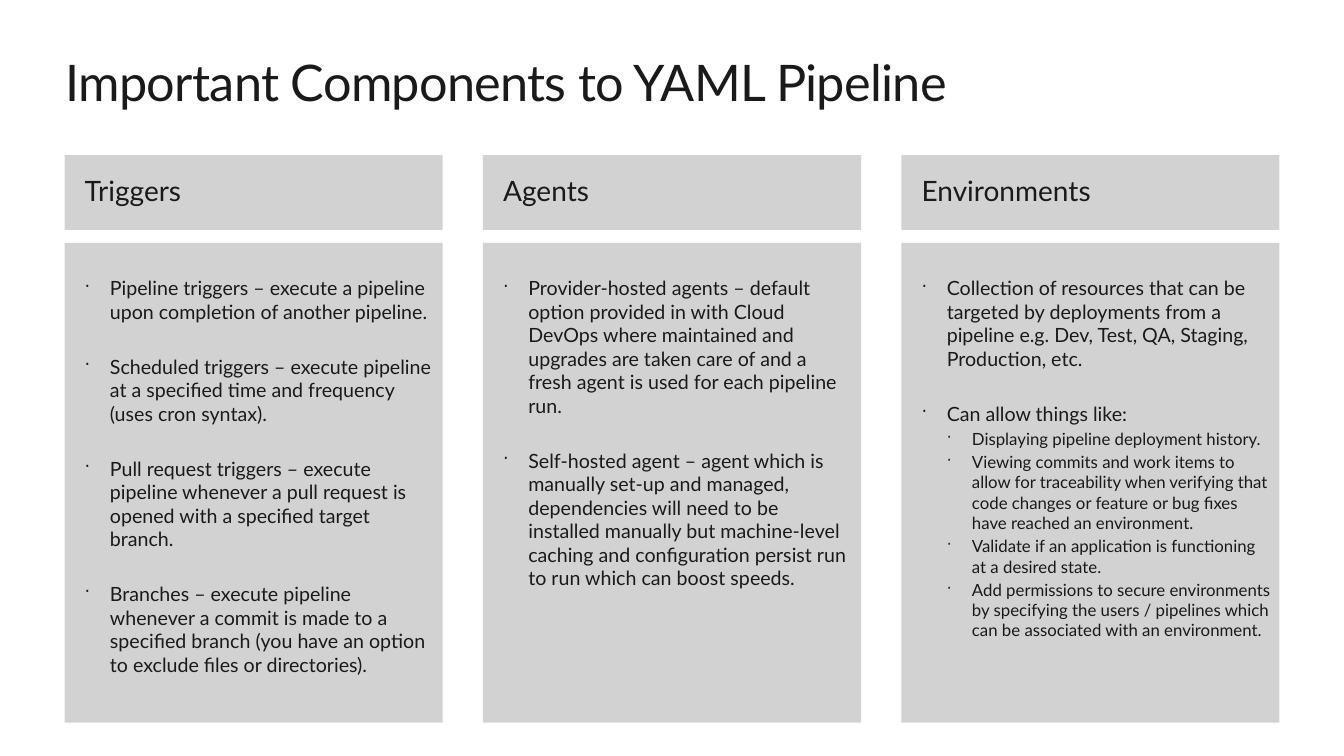
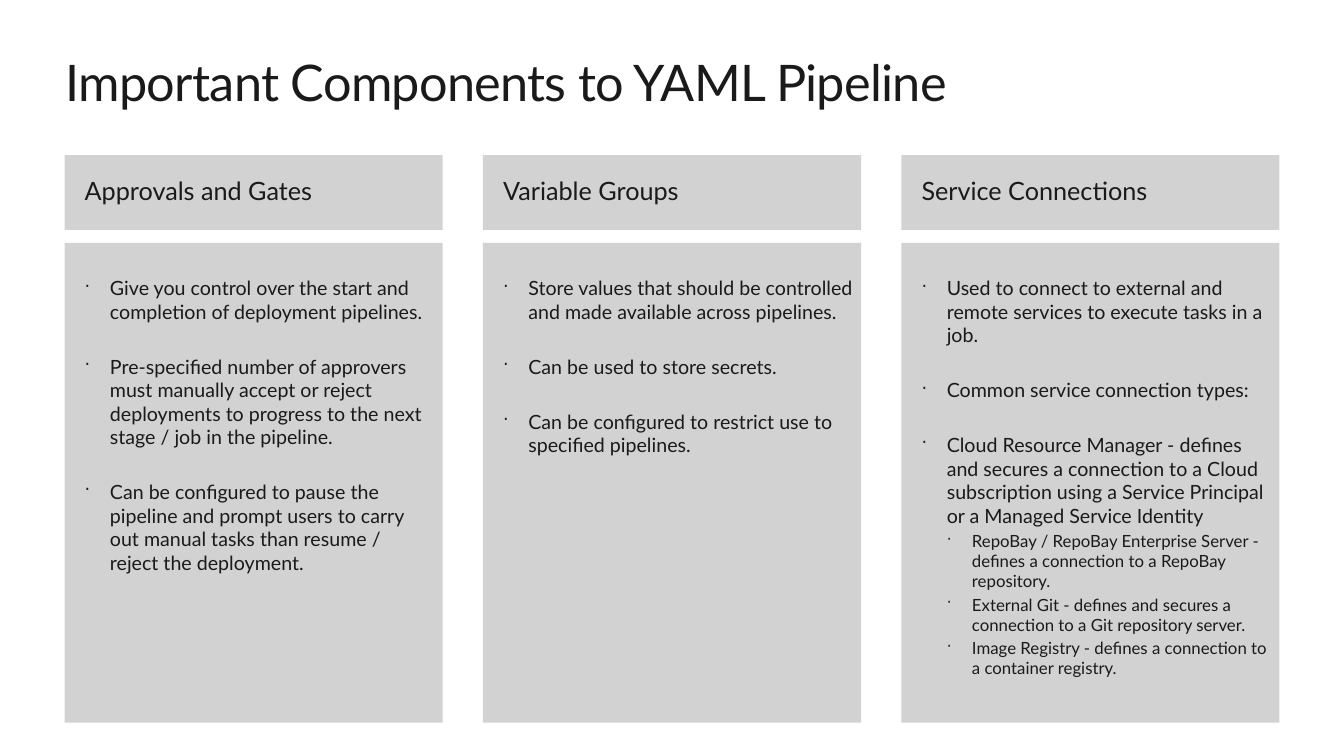
"""Build two three-column slides on the components of a YAML pipeline."""
from dataclasses import dataclass

from lxml import etree
from pptx import Presentation
from pptx import util as u
from pptx.dml.color import RGBColor
from pptx.enum import shapes, text
from pptx.oxml import ns

COLORS = {"panel": "D2D2D2", "text": "1A1A1A"}
FONT = "Lato"
TITLE = "Important Components to YAML Pipeline"
TITLE_SIZE = 36
TITLE_SPACING = -50
SLIDE_WIDTH, SLIDE_HEIGHT = 13.33, 7.5
TITLE_LEFT, TITLE_TOP, TITLE_WIDTH, TITLE_HEIGHT = 0.65, 0.51, 12.05, 0.61
GRID_LEFT, COLUMN_WIDTH, COLUMN_GAP = 0.64, 3.75, 0.4
HEADING_TOP, HEADING_HEIGHT = 1.54, 0.74
BODY_TOP, BODY_HEIGHT = 2.41, 4.76
HEADING_INSETS = (0.2, 0, 0.04, 0.05)
BODY_INSETS = (0.2, 0.33, 0.08, 0.05)
INDENT = 0.25
LEVEL_SIZES = (14, 12)
LEVEL_SPACES = (22.4, 2.4)


@dataclass(frozen=True)
class Bullet:
    """One bulleted statement and its level."""

    wording: str
    level: int = 0


@dataclass(frozen=True)
class Column:
    """A heading with the bullets below it."""

    heading: str
    bullets: tuple[Bullet, ...]


@dataclass(frozen=True)
class ColumnSlide:
    """A slide of columns sharing one heading size."""

    heading_size: int
    columns: tuple[Column, ...]


SLIDES = (
    ColumnSlide(20, (
        Column("Triggers", (
            Bullet("Pipeline triggers – execute a pipeline upon completion of another pipeline."),
            Bullet("Scheduled triggers – execute pipeline at a specified time and frequency "
                   "(uses cron syntax)."),
            Bullet("Pull request triggers – execute pipeline whenever a pull request is opened "
                   "with a specified target branch."),
            Bullet("Branches – execute pipeline whenever a commit is made to a specified branch "
                   "(you have an option to exclude files or directories)."),
        )),
        Column("Agents", (
            Bullet("Provider-hosted agents – default option provided in with Cloud DevOps where "
                   "maintained and upgrades are taken care of and a fresh agent is used for each "
                   "pipeline run."),
            Bullet("Self-hosted agent – agent which is manually set-up and managed, dependencies "
                   "will need to be installed manually but machine-level caching and "
                   "configuration persist run to run which can boost speeds."),
        )),
        Column("Environments", (
            Bullet("Collection of resources that can be targeted by deployments from a pipeline "
                   "e.g. Dev, Test, QA, Staging, Production, etc."),
            Bullet("Can allow things like:"),
            Bullet("Displaying pipeline deployment history.", 1),
            Bullet("Viewing commits and work items to allow for traceability when verifying that "
                   "code changes or feature or bug fixes have reached an environment.", 1),
            Bullet("Validate if an application is functioning at a desired state.", 1),
            Bullet("Add permissions to secure environments by specifying the users / pipelines "
                   "which can be associated with an environment.", 1),
        )),
    )),
    ColumnSlide(18, (
        Column("Approvals and Gates", (
            Bullet("Give you control over the start and completion of deployment pipelines."),
            Bullet("Pre-specified number of approvers must manually accept or reject deployments "
                   "to progress to the next stage / job in the pipeline."),
            Bullet("Can be configured to pause the pipeline and prompt users to carry out manual "
                   "tasks than resume / reject the deployment."),
        )),
        Column("Variable Groups", (
            Bullet("Store values that should be controlled and made available across pipelines."),
            Bullet("Can be used to store secrets."),
            Bullet("Can be configured to restrict use to specified pipelines."),
        )),
        Column("Service Connections", (
            Bullet("Used to connect to external and remote services to execute tasks in a job."),
            Bullet("Common service connection types:"),
            Bullet("Cloud Resource Manager - defines and secures a connection to a Cloud "
                   "subscription using a Service Principal or a Managed Service Identity"),
            Bullet("RepoBay / RepoBay Enterprise Server - defines a connection to a RepoBay "
                   "repository.", 1),
            Bullet("External Git - defines and secures a connection to a Git repository server.", 1),
            Bullet("Image Registry - defines a connection to a container registry.", 1),
        )),
    )),
)


def set_frame(frame, insets: tuple[float, ...], anchor) -> None:
    """Set the wrapping, insets and anchor of a text frame."""
    frame.word_wrap = True
    frame.vertical_anchor = anchor
    (frame.margin_left, frame.margin_top,
     frame.margin_right, frame.margin_bottom) = map(u.Inches, insets)


def format_paragraph(paragraph, size: float) -> None:
    """Left-align a paragraph and style its runs."""
    paragraph.alignment = text.PP_ALIGN.LEFT
    for run in paragraph.runs:
        run.font.name = FONT
        run.font.size = u.Pt(size)
        run.font.color.rgb = RGBColor.from_string(COLORS["text"])


def add_title(slide) -> None:
    """Add the shared title."""
    box = slide.shapes.add_textbox(
        *map(u.Inches, (TITLE_LEFT, TITLE_TOP, TITLE_WIDTH, TITLE_HEIGHT)))
    frame = box.text_frame
    set_frame(frame, (0, 0, 0, 0), text.MSO_ANCHOR.TOP)
    frame.text = TITLE
    paragraph = frame.paragraphs[0]
    format_paragraph(paragraph, TITLE_SIZE)
    paragraph.runs[0].font._element.set("spc", str(TITLE_SPACING))


def add_panel(slide, column: int, top: float, height: float):
    """Add a grey rectangle in a grid column."""
    left = GRID_LEFT + column * (COLUMN_WIDTH + COLUMN_GAP)
    shape = slide.shapes.add_shape(
        shapes.MSO_SHAPE.RECTANGLE, *map(u.Inches, (left, top, COLUMN_WIDTH, height)))
    shape.shadow.inherit = False
    shape.fill.solid()
    shape.fill.fore_color.rgb = RGBColor.from_string(COLORS["panel"])
    shape.line.fill.background()
    return shape


def add_bullet_mark(paragraph, level: int) -> None:
    """Give a paragraph a hanging dot at its level."""
    paragraph.level = level
    properties = paragraph._p.get_or_add_pPr()
    properties.set("marL", str(u.Inches(INDENT * (level + 1))))
    properties.set("indent", str(u.Inches(-INDENT)))
    etree.SubElement(properties, ns.qn("a:buSzPct")).set("val", "90000")
    etree.SubElement(properties, ns.qn("a:buChar")).set("char", "·")


def add_column(slide, index: int, column: Column, heading_size: int) -> None:
    """Add a heading panel and a bulleted panel."""
    heading = add_panel(slide, index, HEADING_TOP, HEADING_HEIGHT).text_frame
    set_frame(heading, HEADING_INSETS, text.MSO_ANCHOR.MIDDLE)
    heading.text = column.heading
    format_paragraph(heading.paragraphs[0], heading_size)

    body = add_panel(slide, index, BODY_TOP, BODY_HEIGHT).text_frame
    set_frame(body, BODY_INSETS, text.MSO_ANCHOR.TOP)
    body.text = "\n".join(bullet.wording for bullet in column.bullets)
    for position, (paragraph, bullet) in enumerate(zip(body.paragraphs, column.bullets)):
        add_bullet_mark(paragraph, bullet.level)
        paragraph.space_before = u.Pt(LEVEL_SPACES[bullet.level] if position else 0)
        format_paragraph(paragraph, LEVEL_SIZES[bullet.level])


def main() -> None:
    """Build and save the presentation."""
    presentation = Presentation()
    presentation.slide_width = u.Inches(SLIDE_WIDTH)
    presentation.slide_height = u.Inches(SLIDE_HEIGHT)
    for content in SLIDES:
        slide = presentation.slides.add_slide(presentation.slide_layouts[6])
        add_title(slide)
        for index, column in enumerate(content.columns):
            add_column(slide, index, column, content.heading_size)
    presentation.save("out.pptx")


if __name__ == "__main__":
    main()
